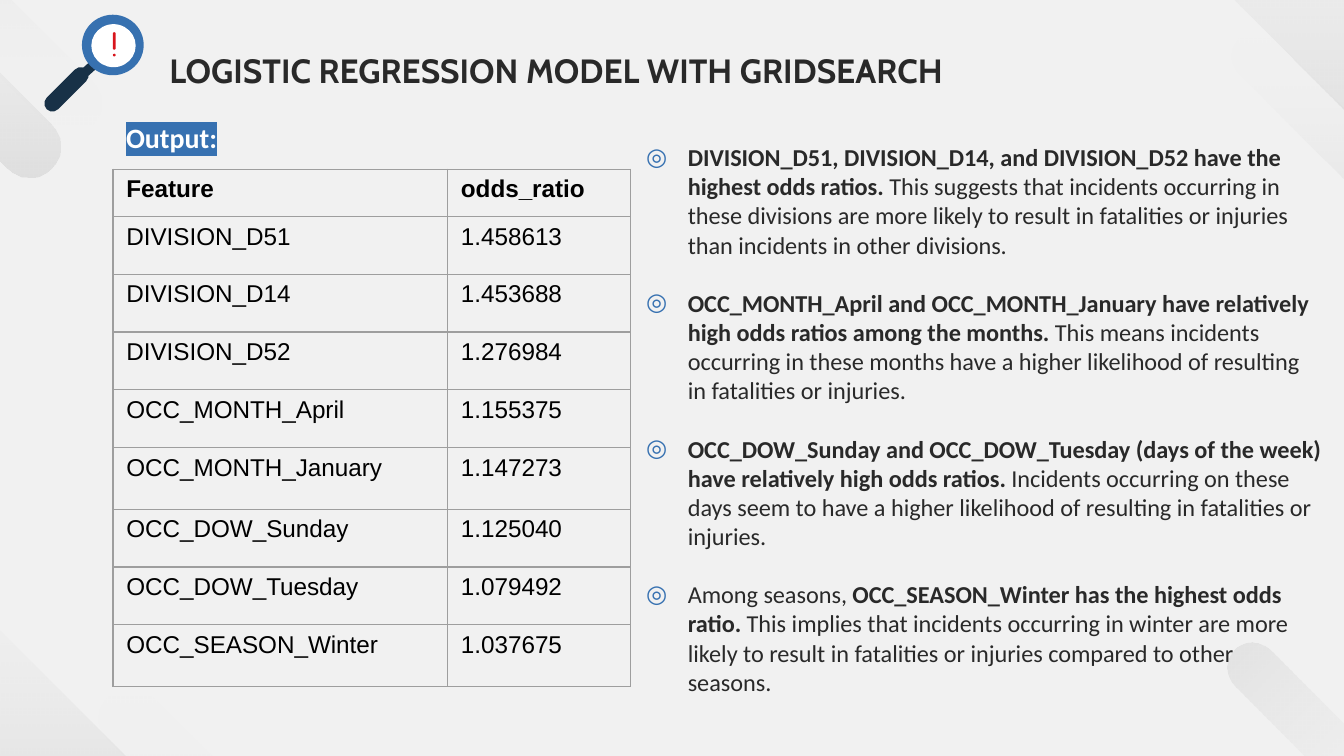
from math import sqrt

from lxml.etree import SubElement
from pptx import Presentation
from pptx.dml.color import RGBColor
from pptx.enum.shapes import MSO_SHAPE
from pptx.enum.text import MSO_ANCHOR, MSO_AUTO_SIZE, PP_ALIGN
from pptx.oxml.ns import qn
from pptx.util import Inches, Pt

INK, BLUE, NAVY, RED, WHITE = "292929", "3771B1", "183147", "D8151C", "FFFFFF"
ROWS = [
    ("Feature", "odds_ratio"),
    ("DIVISION_D51", "1.458613"),
    ("DIVISION_D14", "1.453688"),
    ("DIVISION_D52", "1.276984"),
    ("OCC_MONTH_April", "1.155375"),
    ("OCC_MONTH_January", "1.147273"),
    ("OCC_DOW_Sunday", "1.125040"),
    ("OCC_DOW_Tuesday", "1.079492"),
    ("OCC_SEASON_Winter", "1.037675"),
]
COL_WIDTHS = [2.49, 1.36]
ROW_HEIGHTS = [0.35, 0.43, 0.43, 0.43, 0.43, 0.46, 0.43, 0.43, 0.46]
FINDINGS = [
    [("DIVISION_D51, DIVISION_D14, and DIVISION_D52 have the highest odds ratios. ", True),
     ("This suggests that incidents occurring in these divisions are more likely to result in "
      "fatalities or injuries than incidents in other divisions.", False)],
    [("OCC_MONTH_April and OCC_MONTH_January have relatively high odds ratios among the months. ", True),
     ("This means incidents occurring in these months have a higher likelihood of resulting in "
      "fatalities or injuries.", False)],
    [("OCC_DOW_Sunday and OCC_DOW_Tuesday (days of the week) have relatively high odds ratios. ", True),
     ("Incidents occurring on these days seem to have a higher likelihood of resulting in "
      "fatalities or injuries.", False)],
    [("Among seasons, ", False),
     ("OCC_SEASON_Winter has the highest odds ratio. ", True),
     ("This implies that incidents occurring in winter are more likely to result in fatalities "
      "or injuries compared to other seasons.", False)],
]


def rgb(value):
    """Return the colour for a hex string."""
    return RGBColor.from_string(value)


def box(left, top, width, height):
    """Return a box in inches as lengths."""
    return [Inches(v) for v in (left, top, width, height)]


def add_run(p, text, color, **font):
    """Add a formatted run to a paragraph."""
    r = p.add_run()
    r.text = text
    r.font.color.rgb = rgb(color)
    for name, value in font.items():
        setattr(r.font, name, value)
    return r


def plain(sp, color=None):
    """Remove shadow and line, and fill with a colour if one is given."""
    sp.shadow.inherit = False
    sp.line.fill.background()
    if color:
        sp.fill.solid()
        sp.fill.fore_color.rgb = rgb(color)
    return sp


def fade(sp, angle, opacity):
    """Fill a shape with a gradient from clear to faint ink, at a clockwise angle."""
    plain(sp).fill.gradient()
    sp.fill.gradient_angle = -angle % 360
    for stop, color, position in zip(sp.fill.gradient_stops, (WHITE, INK), (0, 1)):
        stop.color.rgb = rgb(color)
        stop.position = position
    colors = sp._element.spPr.iter(qn("a:srgbClr"))
    for clr, alpha in zip(list(colors), (0, opacity)):
        SubElement(clr, qn("a:alpha")).set("val", str(alpha * 1000))


def polygon(shapes, points):
    """Build a closed outline through points in inches."""
    start, *rest = [(Inches(x), Inches(y)) for x, y in points]
    builder = shapes.build_freeform(*start, scale=1.0)
    builder.add_line_segments(rest, close=True)
    return builder.convert_to_shape()


def capsule(shapes, left, top, width, height, thickness, rotation):
    """Place a rounded bar diagonally so that it spans the given box."""
    length = ((width + height) / 2 - thickness) * sqrt(2) + thickness
    sp = shapes.add_shape(MSO_SHAPE.ROUNDED_RECTANGLE, *box(
        left + (width - length) / 2, top + (height - thickness) / 2, length, thickness))
    sp.adjustments[0] = 0.5
    sp.rotation = rotation
    return sp


def backdrop(s):
    """Draw the faint diagonal corners and bands."""
    for left, top, side in [(-0.98, 3.71, 2.3), (9.1, -1.65, 2.6)]:
        corners = [(0, 0), (1, 1), (0.4, 1), (0, 0.6)]
        fade(polygon(s.shapes, [(left + x * side, top + y * side) for x, y in corners]), 90, 8)
    bands = [
        (9.15, 0.24, 1.7, 1.66, 90, 10),
        (0.72, 5.12, 2.13, 2.08, 90, 10),
        (-1.36, -1.09, 2.13, 2.08, 270, 8),
        (-1.67, -0.77, 2.13, 2.08, 90, 10),
        (9.12, 4.79, 1.7, 1.66, 225, 8),
    ]
    for left, top, width, height, angle, opacity in bands:
        sp = capsule(s.shapes, left, top, width, height, 0.22 * width, 45)
        fade(sp, angle - 45, opacity)


def heading(s, left, top, width, height):
    """Place and format the slide title."""
    sp = s.shapes.title
    sp.left, sp.top, sp.width, sp.height = box(left, top, width, height)
    tf = sp.text_frame
    tf.word_wrap, tf.vertical_anchor = True, MSO_ANCHOR.MIDDLE
    tf.auto_size = MSO_AUTO_SIZE.SHAPE_TO_FIT_TEXT
    p = tf.paragraphs[0]
    p.alignment = PP_ALIGN.LEFT
    add_run(p, "LOGISTIC REGRESSION MODEL WITH GRIDSEARCH", INK, name="Cabin", size=Pt(18), bold=True)


def magnifier(s, left, top):
    """Draw the magnifying glass with an exclamation mark."""
    shapes = s.shapes.add_group_shape().shapes
    neck = [(0.37, 0.33), (0.27, 0.42), (0.32, 0.47), (0.42, 0.38)]
    plain(polygon(shapes, [(left + x, top + y) for x, y in neck]), NAVY)
    plain(capsule(shapes, left, top + 0.4, 0.35, 0.31, 0.12, -45), NAVY)
    parts = [
        (MSO_SHAPE.OVAL, 0.29, 0, 0.46, 0.45, "3771B0"),
        (MSO_SHAPE.OVAL, 0.36, 0.07, 0.33, 0.32, WHITE),
        (MSO_SHAPE.OVAL, 0.52, 0.29, 0.02, 0.02, RED),
        (MSO_SHAPE.ROUNDED_RECTANGLE, 0.52, 0.13, 0.02, 0.13, RED),
    ]
    for kind, x, y, width, height, color in parts:
        sp = plain(shapes.add_shape(kind, *box(left + x, top + y, width, height)), color)
        if kind == MSO_SHAPE.ROUNDED_RECTANGLE:
            sp.adjustments[0] = 0.5


def text_box(s, *bounds):
    """Add a wrapping text box and return its frame."""
    tf = s.shapes.add_textbox(*box(*bounds)).text_frame
    tf.word_wrap, tf.auto_size = True, MSO_AUTO_SIZE.SHAPE_TO_FIT_TEXT
    return tf


def findings(s, *bounds):
    """Write the bulleted findings, the last with a small right margin."""
    tf = text_box(s, *bounds)
    last = len(FINDINGS) - 1
    for i, runs in enumerate(FINDINGS):
        p = tf.add_paragraph() if i else tf.paragraphs[0]
        p.space_after = Pt(15.6 if i < last else 0)
        for text, bold in runs:
            add_run(p, text, INK, name="Calibri", size=Pt(13), bold=bold)
        pPr = p._p.get_or_add_pPr()
        margins = {"marL": 0.31, "marR": 0.1 if i == last else 0, "indent": -0.31}
        for name, value in margins.items():
            pPr.set(name, str(Inches(value)))
        SubElement(SubElement(pPr, qn("a:buClr")), qn("a:srgbClr")).set("val", BLUE)
        SubElement(pPr, qn("a:buFont")).set("typeface", "Calibri")
        SubElement(pPr, qn("a:buChar")).set("char", "◎")


def border(cell, color, width):
    """Draw all four borders of a table cell."""
    tcPr = cell._tc.get_or_add_tcPr()
    for i, side in enumerate(("lnL", "lnR", "lnT", "lnB")):
        ln = tcPr.makeelement(qn(f"a:{side}"), {"w": str(Pt(width))})
        SubElement(SubElement(ln, qn("a:solidFill")), qn("a:srgbClr")).set("val", color)
        tcPr.insert(i, ln)


def odds_table(s, left, top):
    """Build the table of features and odds ratios."""
    table = s.shapes.add_table(len(ROWS), len(COL_WIDTHS), *box(
        left, top, sum(COL_WIDTHS), sum(ROW_HEIGHTS))).table
    table.first_row = table.horz_banding = False
    for col, width in zip(table.columns, COL_WIDTHS):
        col.width = Inches(width)
    for i, (row, height, texts) in enumerate(zip(table.rows, ROW_HEIGHTS, ROWS)):
        row.height = Inches(height)
        for cell, text in zip(row.cells, texts):
            cell.fill.background()
            border(cell, "9E9E9E", 0.75)
            add_run(cell.text_frame.paragraphs[0], text, "000000", name="Arial", size=Pt(13), bold=i == 0)


def output_label(s, *bounds):
    """Write the highlighted label above the table."""
    p = text_box(s, *bounds).paragraphs[0]
    r = add_run(p, "Output:", WHITE, name="Calibri", size=Pt(15), bold=True)
    rPr = r._r.get_or_add_rPr()
    highlight = rPr.makeelement(qn("a:highlight"), {})
    SubElement(highlight, qn("a:srgbClr")).set("val", BLUE)
    rPr.find(qn("a:solidFill")).addnext(highlight)


def main():
    """Build and save the slide."""
    prs = Presentation()
    prs.slide_width, prs.slide_height = Inches(10), Inches(10 * 9 / 16)
    s = prs.slides.add_slide(prs.slide_layouts[5])
    s.background.fill.solid()
    s.background.fill.fore_color.rgb = rgb("F1F1F1")
    backdrop(s)
    heading(s, 1.16, 0.32, 6.69, 0.4)
    findings(s, 4.71, 1.01, 5.23, 4.49)
    magnifier(s, 0.32, 0.11)
    odds_table(s, 0.84, 1.26)
    output_label(s, 0.84, 0.85, 1.04, 0.35)
    prs.save("out.pptx")


if __name__ == "__main__":
    main()
